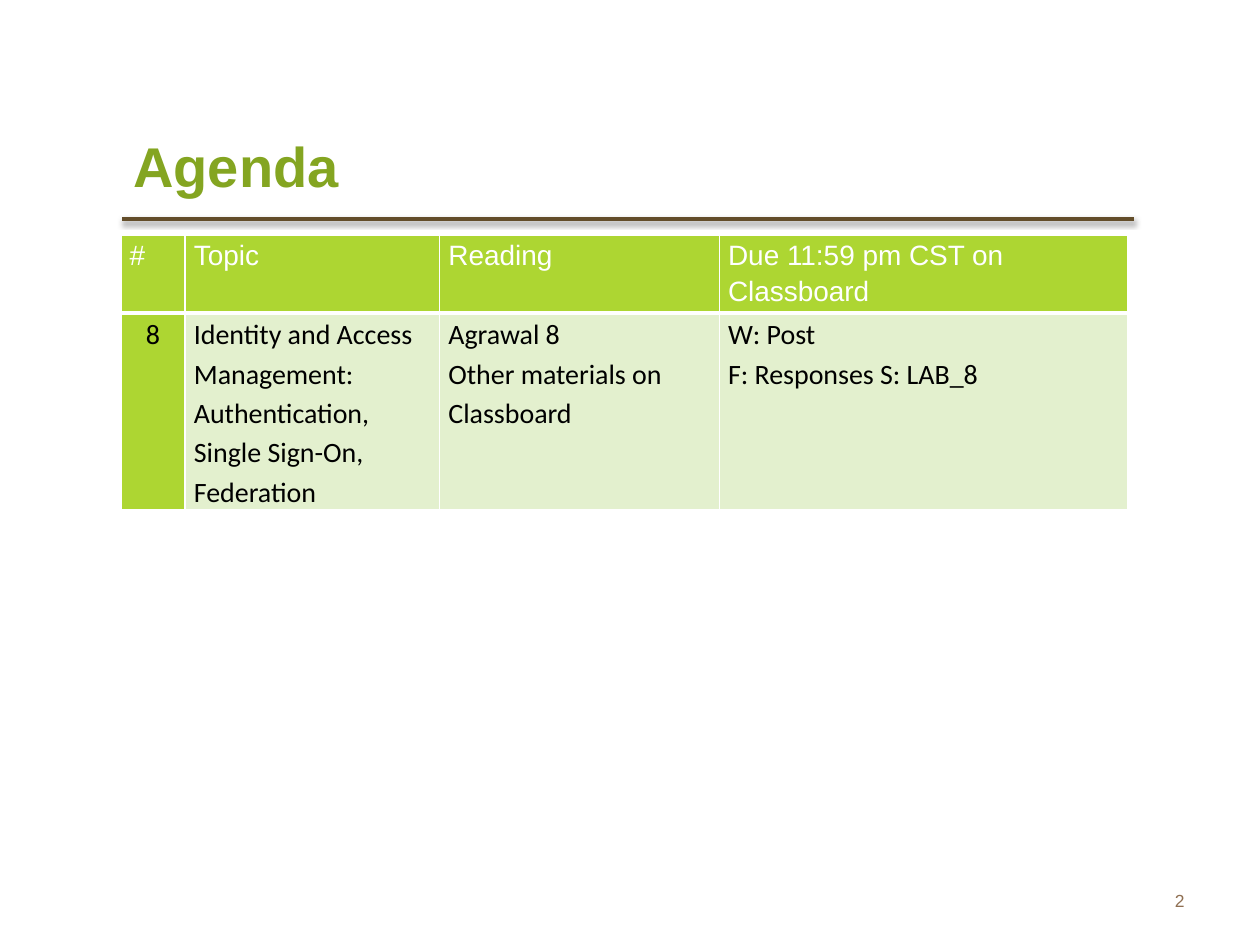
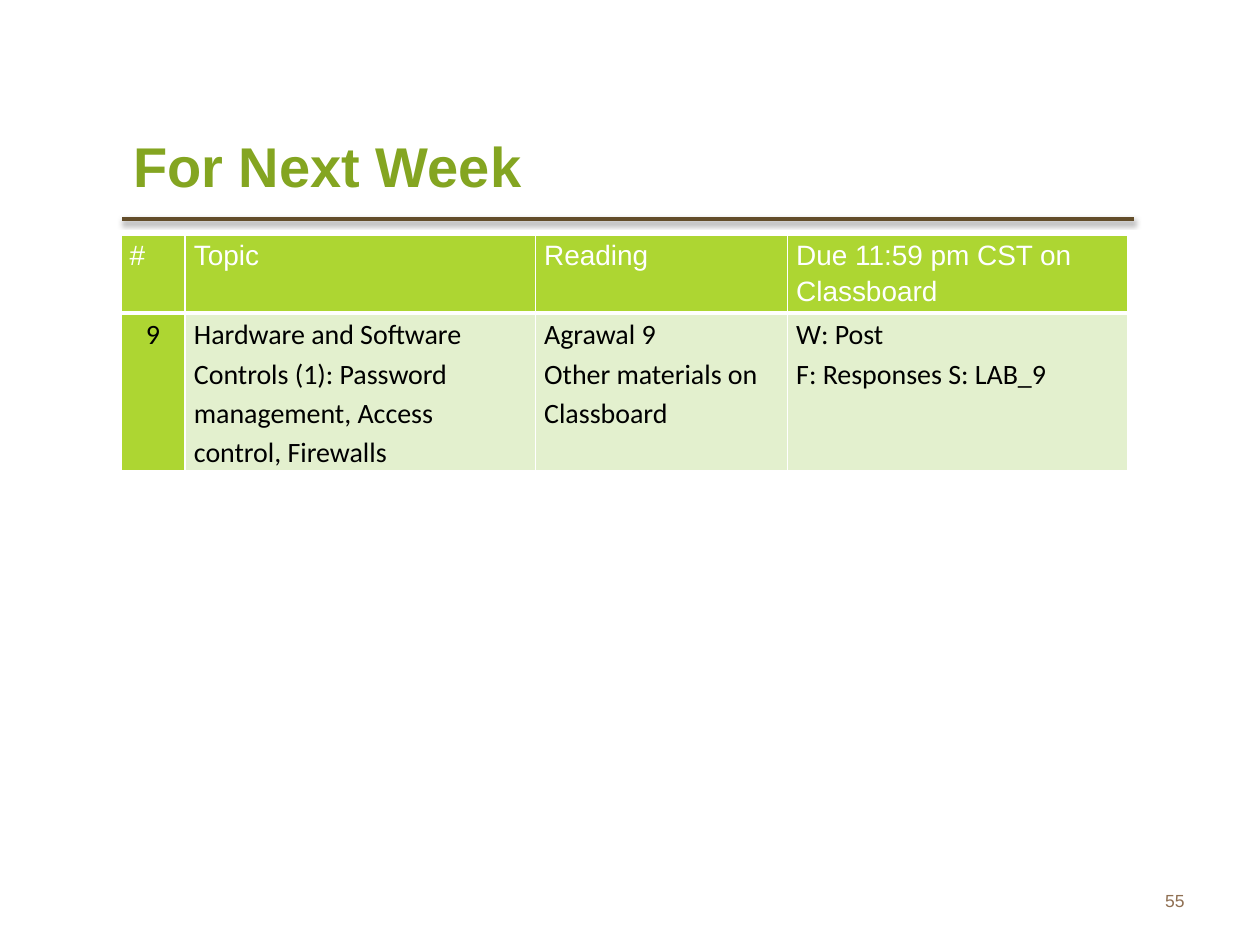
from pptx import Presentation
from pptx.dml.color import RGBColor as RGB
from pptx.enum.shapes import MSO_CONNECTOR as Connector
from pptx.enum.text import MSO_ANCHOR as Anchor, PP_ALIGN as Align
from pptx.oxml import parse_xml
from pptx.oxml.ns import nsdecls
from pptx.util import Inches, Pt

THEME = {
    "rule": RGB.from_string("634D2A"),
    "header_fill": RGB.from_string("ADD632"),
    "body_fill": RGB.from_string("E3F0CE"),
    "title": {"name": "Arial", "size": Pt(32), "bold": True, "color": "84A521"},
    "number": {"name": "Arial", "size": Pt(10), "bold": False, "color": "8F6F52"},
    "header": {"name": "Arial", "size": Pt(16), "bold": False, "color": "FFFFFF"},
    "body": {"name": "Calibri", "size": Pt(16), "bold": False, "color": "000000"},
}

RULE_SHADOW = (
    f'<a:effectLst {nsdecls("a")}>'
    f'<a:outerShdw blurRad="{Pt(3.1)}" dist="{Pt(1.6)}" dir="5400000" rotWithShape="0">'
    '<a:srgbClr val="000000"><a:alpha val="38000"/></a:srgbClr>'
    '</a:outerShdw></a:effectLst>'
)

HEADINGS = ["#", "Topic", "Reading", "Due 11:59 pm CST on Classboard"]
HEADER_HEIGHT = 0.56
CELL_FORMAT = {
    "margin_left": Inches(0.07), "margin_right": Inches(0.07),
    "margin_top": 0, "margin_bottom": 0, "vertical_anchor": Anchor.TOP,
}

WEEKS = [
    {
        "title": "Agenda", "page": 2, "week": 8,
        "topic": "Identity and Access Management: Authentication, Single Sign-On, Federation",
        "columns": [0.51, 2.02, 2.22, 3.24], "body_height": 1.56,
    },
    {
        "title": "For Next Week", "page": 55, "week": 9,
        "topic": "Hardware and Software Controls (1): Password management, Access control, Firewalls",
        "columns": [0.51, 2.78, 2, 2.7], "body_height": 1.25,
    },
]


def write(frame, text, style, align=Align.LEFT, spacing=1.0):
    """Fill a text frame, one paragraph per line of text."""
    frame.word_wrap = True
    for i, line in enumerate(text.split("\n")):
        paragraph = frame.paragraphs[0] if i == 0 else frame.add_paragraph()
        paragraph.alignment = align
        paragraph.line_spacing = spacing
        run = paragraph.add_run()
        run.text = line
        for key, value in THEME[style].items():
            if key == "color":
                run.font.color.rgb = RGB.from_string(value)
            else:
                setattr(run.font, key, value)


def set_borders(cell, bottom):
    """Draw white cell borders, 1 pt except for the given bottom width."""
    properties = cell._tc.get_or_add_tcPr()
    for i, (side, width) in enumerate({"L": 1, "R": 1, "T": 1, "B": bottom}.items()):
        properties.insert(i, parse_xml(
            f'<a:ln{side} {nsdecls("a")} w="{Pt(width)}"><a:solidFill>'
            f'<a:srgbClr val="FFFFFF"/></a:solidFill></a:ln{side}>'))


deck = Presentation()
deck.slide_width, deck.slide_height = Inches(10), Inches(7.5)

for plan in WEEKS:
    slide = deck.slides.add_slide(deck.slide_layouts[6])

    rule = slide.shapes.add_connector(
        Connector.STRAIGHT, Inches(0.97), Inches(1.74), Inches(9), Inches(1.74))
    rule.line.color.rgb = THEME["rule"]
    rule.line.width = Pt(2)
    rule._element.spPr.append(parse_xml(RULE_SHADOW))

    labels = [
        (plan["title"], "title", Align.LEFT, (0.96, 0.86, 5.77, 0.9)),
        (str(plan["page"]), "number", Align.RIGHT, (7.17, 6.95, 2.33, 0.4)),
    ]
    for text, style, align, place in labels:
        label = slide.shapes.add_textbox(*map(Inches, place)).text_frame
        label.vertical_anchor = Anchor.MIDDLE
        write(label, text, style, align)

    week = plan["week"]
    rows = [HEADINGS, [
        str(week), plan["topic"],
        f"Agrawal {week}\nOther materials on Classboard",
        f"W: Post\nF: Responses S: LAB_{week}",
    ]]
    heights = [HEADER_HEIGHT, plan["body_height"]]
    schedule = slide.shapes.add_table(
        len(rows), len(HEADINGS), Inches(0.96), Inches(1.87),
        Inches(sum(plan["columns"])), Inches(sum(heights))).table
    schedule.horz_banding = False
    for column, width in zip(schedule.columns, plan["columns"]):
        column.width = Inches(width)
    for r, (entries, height) in enumerate(zip(rows, heights)):
        schedule.rows[r].height = Inches(height)
        for c, entry in enumerate(entries):
            cell = schedule.cell(r, c)
            for key, value in CELL_FORMAT.items():
                setattr(cell, key, value)
            is_header = r == 0
            cell.fill.solid()
            cell.fill.fore_color.rgb = THEME["header_fill" if is_header or c == 0 else "body_fill"]
            set_borders(cell, bottom=3 if is_header else 1)
            write(cell.text_frame, entry, "header" if is_header else "body",
                  Align.CENTER if c == 0 and not is_header else Align.LEFT, 1.15)

deck.save("out.pptx")
